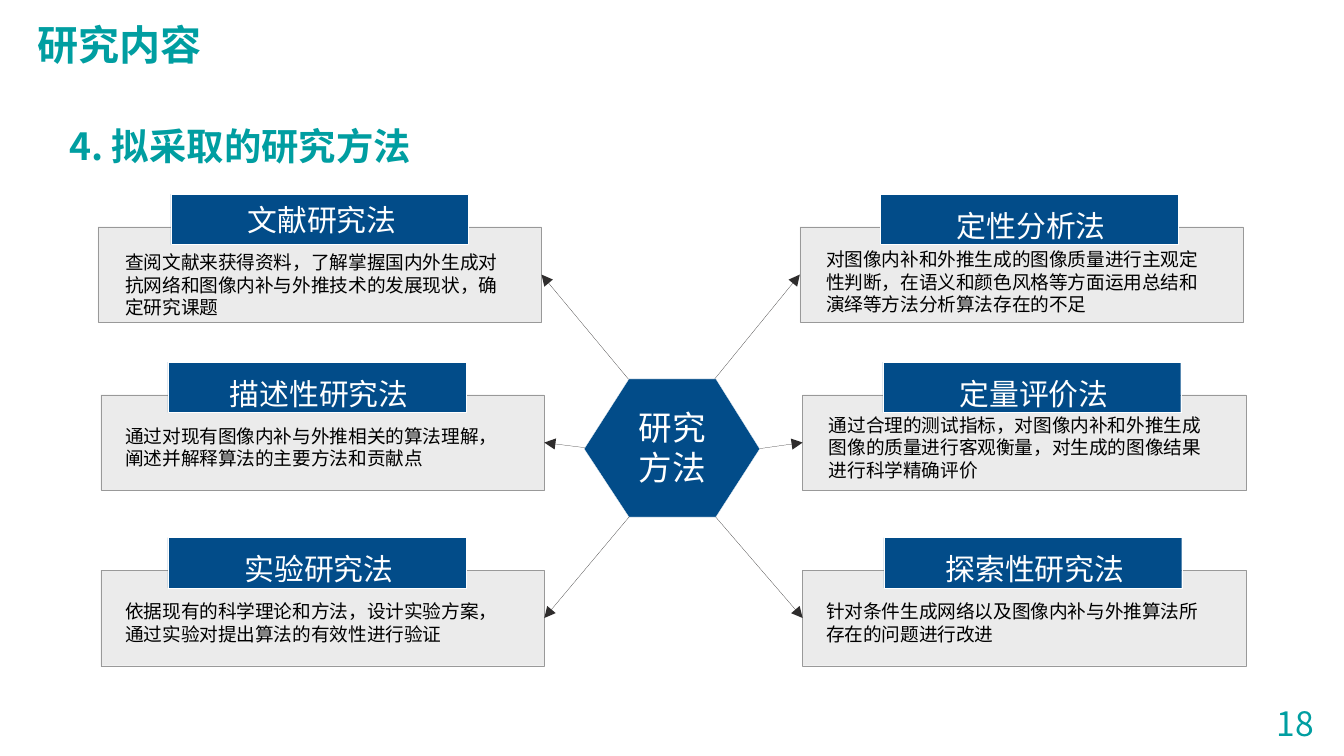
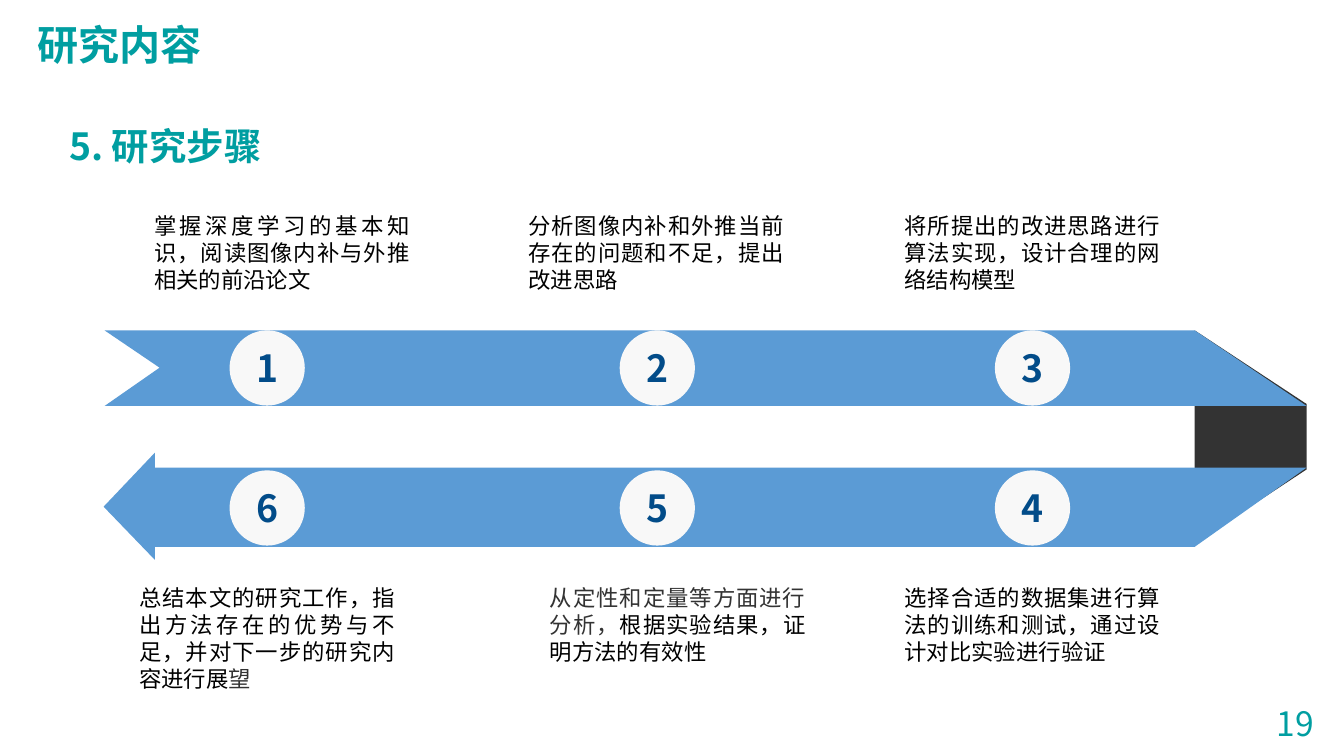
from collections import namedtuple

from lxml.etree import SubElement
from pptx import Presentation
from pptx.dml.color import RGBColor
from pptx.enum.shapes import MSO_CONNECTOR, MSO_SHAPE
from pptx.enum.text import MSO_ANCHOR, MSO_AUTO_SIZE, PP_ALIGN
from pptx.oxml.ns import qn
from pptx.util import Pt

TEAL = RGBColor(0x00, 0x9E, 0xA1)
NAVY = RGBColor(0x02, 0x4C, 0x89)
BLUE = RGBColor(0x5B, 0x9B, 0xD5)
WHITE = RGBColor(0xFF, 0xFF, 0xFF)
BLACK = RGBColor(0x00, 0x00, 0x00)
DARK = RGBColor(0x33, 0x33, 0x33)
ARROW = RGBColor(0x2E, 0x2C, 0x2C)
PANEL = RGBColor(0xEB, 0xEB, 0xEB)
PANEL_EDGE = RGBColor(0x99, 0x99, 0x99)
DISC = RGBColor(0xF8, 0xF8, 0xF8)

CJK_FONT = "Noto Sans CJK SC"
HAIRLINE = Pt(0.1)
LEFT_SIDE, RIGHT_SIDE = 1, 3

Method = namedtuple(
    "Method",
    "panel_left panel_top tab_left label_top text_left text_top side arrow_start font label text",
)
METHODS = [
    Method(52.5, 121.5, 91.5, 104.5, 60, 131, RIGHT_SIDE, (337, 203.5), "Calibri", "文献研究法",
           "查阅文献来获得资料，了解掌握国内外生成对抗网络和图像内补与外推技术的发展现状，确定研究课题"),
    Method(54, 211.5, 90, 197.5, 60, 224, RIGHT_SIDE, (314.5, 240), "Calibri", "描述性研究法",
           "通过对现有图像内补与外推相关的算法理解，阐述并解释算法的主要方法和贡献点"),
    Method(54, 305.5, 90, 291.5, 60, 318, RIGHT_SIDE, (337, 277), "Arial", "实验研究法",
           "依据现有的科学理论和方法，设计实验方案，通过实验对提出算法的有效性进行验证"),
    Method(428.5, 121.5, 471.5, 107.5, 435.5, 129.5, LEFT_SIDE, (382.5, 203.5), "Arial", "定性分析法",
           "对图像内补和外推生成的图像质量进行主观定性判断，在语义和颜色风格等方面运用总结和演绎等方法分析算法存在的不足"),
    Method(430, 211.5, 473, 197.5, 437, 218, LEFT_SIDE, (406, 240.5), "Arial", "定量评价法",
           "通过合理的测试指标，对图像内补和外推生成图像的质量进行客观衡量，对生成的图像结果进行科学精确评价"),
    Method(430, 305.5, 473.5, 291.5, 435.5, 318, LEFT_SIDE, (383, 276.5), "Calibri", "探索性研究法",
           "针对条件生成网络以及图像内补与外推算法所存在的问题进行改进"),
]
HEXAGON = [(383.5, 203), (407, 240.5), (383.5, 277), (337, 277), (313, 240.5), (337, 203)]

FOLD = [(700, 216.5), (700, 251.5), (640, 291), (640, 177)]
RETURN_BAND = [(83, 250.5), (700, 250.5), (640, 293), (83, 293),
               (83, 300), (55.5, 271.5), (83, 242.5)]
FORWARD_BAND = [(56, 177), (640, 177), (700, 217.5), (56, 217.5), (85.5, 197)]
DISC_LEFTS = [123, 332, 533]
DISC_SIZE = 40.3

# Each step: number, text left, and runs of (text, colour, font).
UPPER_STEPS = [
    ("1", 75.5, [("掌握深度学习的基本知识，阅读图像内补与外推相关的前沿论文", BLACK, "Calibri")]),
    ("2", 276, [("分析图像内补和外推当前存在的问题和不足，提出改进思路", BLACK, "Calibri")]),
    ("3", 477.5, [("将所提出的改进思路进行算法实现，设计合理的网络结构模型", BLACK, "Calibri")]),
]
LOWER_STEPS = [
    ("6", 67.5, [("总结本文的研究工作，指出方法存在的优势与不足，并对下一步的研究内容进行展", BLACK, "Calibri"),
                 ("望", DARK, CJK_FONT)]),
    ("5", 287.5, [("从定性和定量等方面进行分析，", DARK, CJK_FONT),
                  ("根据实验结果，证明方法的有效性", BLACK, "Calibri")]),
    ("4", 477.5, [("选择合适的数据集进行算法的训练和测试，通过设计对比实验进行验证", BLACK, "Calibri")]),
]


def set_font(font, size, color, name=CJK_FONT, bold=False):
    """Format a paragraph or run font, for Latin and East Asian text."""
    font.size = Pt(size)
    font.bold = bold
    font.color.rgb = color
    font.name = name
    SubElement(font._element, qn("a:ea"), typeface=CJK_FONT)


def add_text_box(slide, left, top, width, height, align=PP_ALIGN.LEFT):
    """Add a wrapping text box and return its first paragraph."""
    box = slide.shapes.add_textbox(Pt(left), Pt(top), Pt(width), Pt(height))
    frame = box.text_frame
    frame.word_wrap = True
    frame.auto_size = MSO_AUTO_SIZE.SHAPE_TO_FIT_TEXT
    paragraph = frame.paragraphs[0]
    paragraph.alignment = align
    # Keep punctuation inside the text box at line ends.
    paragraph._p.get_or_add_pPr().set("hangingPunct", "0")
    return paragraph


def write(paragraph, text, size, color, name=CJK_FONT, bold=False):
    paragraph.add_run().text = text
    set_font(paragraph.font, size, color, name, bold)


def paint(shape, fill, edge=None):
    shape.shadow.inherit = False
    shape.fill.solid()
    shape.fill.fore_color.rgb = fill
    if edge is None:
        shape.line.fill.background()
    else:
        shape.line.color.rgb = edge
        shape.line.width = HAIRLINE


def add_preset(slide, kind, left, top, width, height, fill, edge=None):
    shape = slide.shapes.add_shape(kind, Pt(left), Pt(top), Pt(width), Pt(height))
    paint(shape, fill, edge)
    return shape


def add_polygon(slide, points, fill, edge=None):
    start, *others = [(Pt(x), Pt(y)) for x, y in points]
    builder = slide.shapes.build_freeform(*start)
    builder.add_line_segments(others, close=True)
    paint(builder.convert_to_shape(), fill, edge)


def add_arrow(slide, start, target, side):
    """Draw an arrow from a point to the middle of a side of the target."""
    x, y = map(Pt, start)
    connector = slide.shapes.add_connector(MSO_CONNECTOR.STRAIGHT, x, y, x, y)
    connector.end_connect(target, side)
    connector.line.color.rgb = ARROW
    connector.line.width = HAIRLINE
    SubElement(connector.line._get_or_add_ln(), qn("a:tailEnd"), type="triangle")
    SubElement(connector._element.spPr, qn("a:effectLst"))


def add_content_slide(presentation, heading, number):
    """Add a slide with the shared title, heading and page number."""
    slide = presentation.slides.add_slide(presentation.slide_layouts[5])
    title = slide.shapes.title
    title.left, title.top, title.width, title.height = Pt(13), Pt(7), Pt(140), Pt(34)
    frame = title.text_frame
    frame.word_wrap = True
    frame.auto_size = MSO_AUTO_SIZE.NONE
    frame.vertical_anchor = MSO_ANCHOR.TOP
    paragraph = frame.paragraphs[0]
    paragraph.alignment = PP_ALIGN.LEFT
    write(paragraph, "研究内容", 22, TEAL, bold=True)

    paragraph = add_text_box(slide, 30, 50.5, 666, 43, PP_ALIGN.JUSTIFY)
    paragraph.line_spacing = 1.5
    paragraph.space_after = Pt(12)
    write(paragraph, heading, 20, TEAL, bold=True)

    write(add_text_box(slide, 677, 373, 36, 29), number, 18, TEAL)
    return slide


def add_method(slide, method):
    panel = add_preset(slide, MSO_SHAPE.RECTANGLE, method.panel_left, method.panel_top,
                       237.6, 51.2, PANEL, PANEL_EDGE)
    add_preset(slide, MSO_SHAPE.RECTANGLE, method.tab_left, method.panel_top - 17.5,
               159.6, 27, NAVY, WHITE)
    label = add_text_box(slide, method.tab_left + 11.5, method.label_top, 139, 26.6,
                         PP_ALIGN.CENTER)
    write(label, method.label, 16, WHITE, method.font)
    description = add_text_box(slide, method.text_left, method.text_top, 223.2, 43)
    write(description, method.text, 10, BLACK, "Calibri")
    add_arrow(slide, method.arrow_start, panel, method.side)


def add_steps(slide, steps, disc_top, text_top):
    """Add one row of numbered discs with their texts."""
    for disc_left, (number, text_left, runs) in zip(DISC_LEFTS, steps):
        disc = add_preset(slide, MSO_SHAPE.OVAL, disc_left, disc_top,
                          DISC_SIZE, DISC_SIZE, DISC)
        disc.text_frame.vertical_anchor = MSO_ANCHOR.MIDDLE
        paragraph = disc.text_frame.paragraphs[0]
        paragraph.alignment = PP_ALIGN.CENTER
        write(paragraph, number, 20, NAVY, bold=True)

        paragraph = add_text_box(slide, text_left, text_top, 151.2, 50.4, PP_ALIGN.JUSTIFY)
        if len(runs) == 1:
            text, color, name = runs[0]
            write(paragraph, text, 12, color, name)
            continue
        for text, color, name in runs:
            run = paragraph.add_run()
            run.text = text
            set_font(run.font, 12, color, name)


def build_methods_slide(presentation):
    slide = add_content_slide(presentation, "4. 拟采取的研究方法", "18")
    for method in METHODS:
        add_method(slide, method)
    add_polygon(slide, HEXAGON, NAVY, WHITE)
    center = add_text_box(slide, 331, 214.5, 58.5, 50.4, PP_ALIGN.CENTER)
    write(center, "研究方法", 18, WHITE)


def build_steps_slide(presentation):
    slide = add_content_slide(presentation, "5. 研究步骤", "19")
    add_polygon(slide, FOLD, DARK)
    add_polygon(slide, RETURN_BAND, BLUE)
    add_polygon(slide, FORWARD_BAND, BLUE)
    add_steps(slide, UPPER_STEPS, 177, 110)
    add_steps(slide, LOWER_STEPS, 252, 309.5)


def main():
    presentation = Presentation()
    presentation.slide_width = Pt(720)
    presentation.slide_height = Pt(405)
    build_methods_slide(presentation)
    build_steps_slide(presentation)
    presentation.save("out.pptx")


if __name__ == "__main__":
    main()
